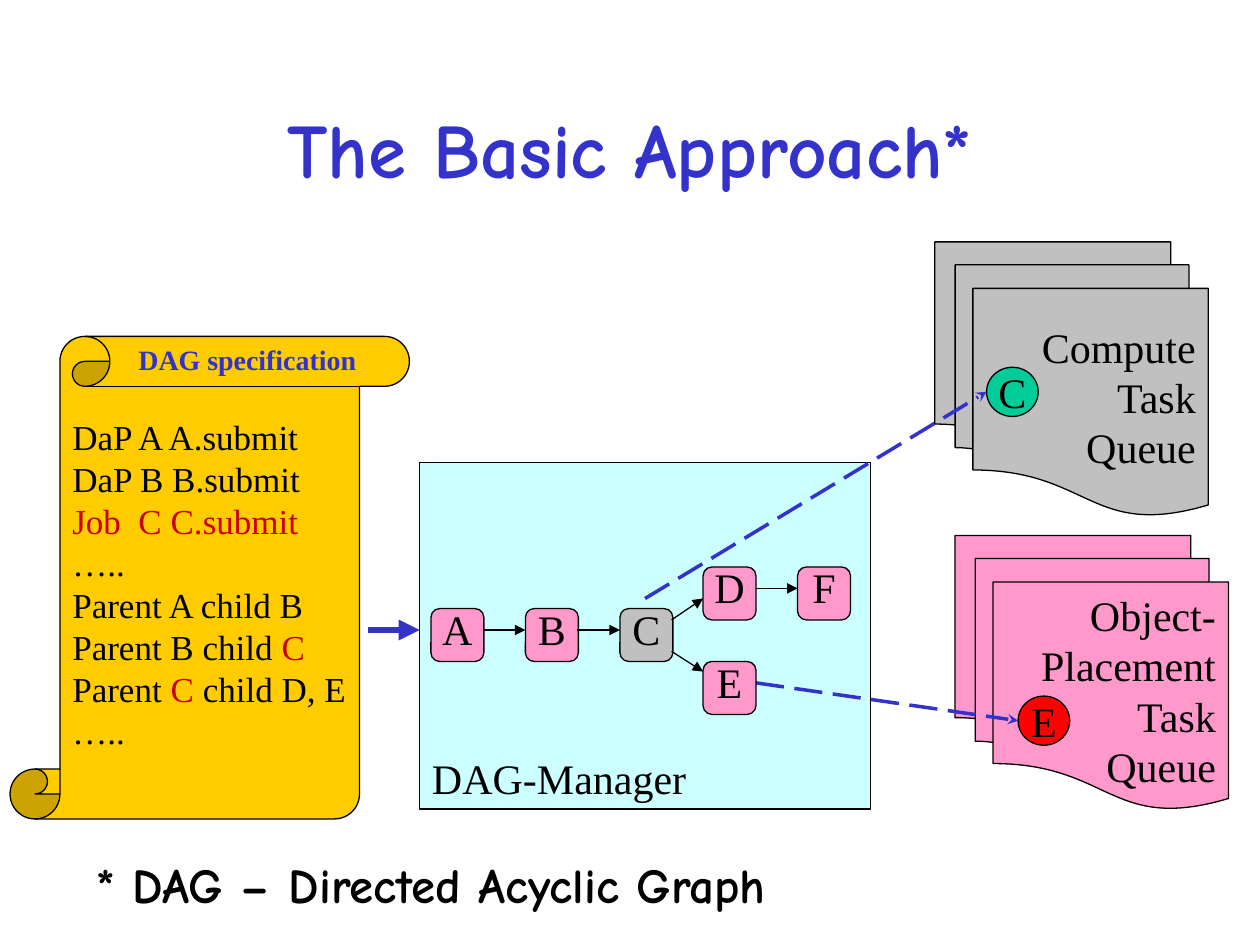
from dataclasses import dataclass

from lxml import etree
from pptx import Presentation
from pptx.dml.color import RGBColor
from pptx.enum.dml import MSO_LINE
from pptx.enum.shapes import MSO_CONNECTOR, MSO_SHAPE
from pptx.enum.text import MSO_ANCHOR, PP_ALIGN
from pptx.oxml.ns import qn
from pptx.slide import Slide
from pptx.util import Inches, Pt

LEFT, CENTER, RIGHT = PP_ALIGN.LEFT, PP_ALIGN.CENTER, PP_ALIGN.RIGHT
TOP, MIDDLE, BOTTOM = MSO_ANCHOR.TOP, MSO_ANCHOR.MIDDLE, MSO_ANCHOR.BOTTOM
RECTANGLE, ROUNDED, OVAL = MSO_SHAPE.RECTANGLE, MSO_SHAPE.ROUNDED_RECTANGLE, MSO_SHAPE.OVAL
SCROLL, DOCUMENTS = MSO_SHAPE.VERTICAL_SCROLL, MSO_SHAPE.FLOWCHART_MULTIDOCUMENT
STRAIGHT, LONG_DASH = MSO_CONNECTOR.STRAIGHT, MSO_LINE.LONG_DASH

SERIF, COMIC = "Times New Roman", "Comic Neue"
BLACK, BLUE, RED = "000000", "3333CC", "CC0000"
PINK, GRAY = "FF99CC", "C0C0C0"
INSETS = (0.1, 0.05, 0.1, 0.05)
NODE_SIZE = 0.42

SPECIFICATION = [
    "DaP A A.submit",
    "DaP B B.submit",
    [("Job  C C.submit", RED)],
    "…..",
    "Parent A child B",
    [("Parent B child ", BLACK), ("C", RED)],
    [("Parent ", BLACK), ("C", RED), (" child D, E", BLACK)],
    "…..",
]
NODES = [
    ("A", 3.42, 4.83, PINK),
    ("B", 4.17, 4.83, PINK),
    ("C", 4.92, 4.83, GRAY),
    ("D", 5.58, 4.5, PINK),
    ("E", 5.58, 5.25, PINK),
    ("F", 6.33, 4.5, PINK),
]
EDGES = [
    ((3.83, 5), (4.17, 5)),
    ((4.58, 5), (4.92, 5)),
    ((5.33, 4.92), (5.58, 4.75)),
    ((5.33, 5.17), (5.58, 5.33)),
    ((6, 4.67), (6.33, 4.67)),
]
QUEUES = [
    (7.42, 1.92, GRAY, ["Compute", "Task", "Queue"]),
    (7.58, 4.25, PINK, ["Object-", "Placement", "Task", "Queue"]),
]
DISPATCHES = [
    ("C", (5.12, 4.75), (7.83, 3.11), "00CC99"),
    ("E", (6, 5.42), (8.08, 5.72), "FF0000"),
]


def rgb(value):
    """Turn a hex string into a colour."""
    return RGBColor.from_string(value)


def write_text(shape, lines, *, size=24, font=SERIF, color=BLACK, bold=False,
               align=LEFT, anchor=MIDDLE, wrap=False, insets=INSETS):
    """Fill a shape with lines, each a string or a list of (text, colour) runs."""
    frame = shape.text_frame
    frame.word_wrap = wrap
    frame.vertical_anchor = anchor
    frame.margin_left, frame.margin_top, frame.margin_right, frame.margin_bottom = map(Inches, insets)
    for index, line in enumerate(lines):
        paragraph = frame.add_paragraph() if index else frame.paragraphs[0]
        paragraph.alignment = align
        for text, run_color in [(line, color)] if isinstance(line, str) else line:
            run = paragraph.add_run()
            run.text = text
            run.font.name = font
            run.font.size = Pt(size)
            run.font.bold = bold
            run.font.color.rgb = rgb(run_color)


@dataclass
class Diagram:
    """Holds the slide and the shared outline style."""

    slide: Slide
    outline: str = BLACK
    outline_width: float = 0.75

    def box(self, kind, left, top, width, height, fill, lines=(), flip=False, **text_format):
        """Add an outlined preset shape with text."""
        shape = self.slide.shapes.add_shape(kind, *map(Inches, (left, top, width, height)))
        shape.shadow.inherit = False
        shape.fill.solid()
        shape.fill.fore_color.rgb = rgb(fill)
        shape.line.color.rgb = rgb(self.outline)
        shape.line.width = Pt(self.outline_width)
        if flip:
            shape.element.spPr.find(qn("a:xfrm")).set("flipH", "1")
        write_text(shape, lines, **text_format)
        return shape

    def label(self, left, top, width, height, text, **text_format):
        """Add a text box holding one line."""
        shape = self.slide.shapes.add_textbox(*map(Inches, (left, top, width, height)))
        write_text(shape, [text], **text_format)

    def arrow(self, start, end, color=BLACK, width=0.75, head="triangle", dash=None):
        """Add a straight arrow from start to end."""
        connector = self.slide.shapes.add_connector(STRAIGHT, *map(Inches, start + end))
        connector.line.color.rgb = rgb(color)
        connector.line.width = Pt(width)
        if dash is not None:
            connector.line.dash_style = dash
        properties = connector.element.spPr
        etree.SubElement(properties.find(qn("a:ln")), qn("a:tailEnd"), type=head)
        etree.SubElement(properties, qn("a:effectLst"))

    def node(self, name, left, top, fill):
        """Add one task of the graph."""
        self.box(ROUNDED, left, top, NODE_SIZE, NODE_SIZE, fill, [name],
                 align=CENTER, insets=(0, 0, 0, 0.1))

    def dispatch(self, name, start, end, fill):
        """Add a dashed arrow that ends at a queued task."""
        width, height = 0.41, 0.39
        self.box(OVAL, end[0], end[1] - height / 2, width, height, fill, [name],
                 align=CENTER, insets=(0, 0, 0, 0))
        self.arrow(start, end, BLUE, 2, "stealth", LONG_DASH)


def main():
    """Build and save the slide."""
    presentation = Presentation()
    presentation.slide_width, presentation.slide_height = Inches(10), Inches(7.5)
    diagram = Diagram(presentation.slides.add_slide(presentation.slide_layouts[6]))

    diagram.label(0.75, 0.67, 8.5, 1, "The Basic Approach*", size=44, font=COMIC,
                  color=BLUE, bold=True, align=CENTER, wrap=True)
    diagram.box(RECTANGLE, 3.33, 3.67, 3.58, 2.75, "CCFFFF", ["DAG-Manager"], anchor=BOTTOM)
    diagram.box(SCROLL, 0.08, 2.67, 3.17, 3.83, "FFCC00", SPECIFICATION, size=20,
                insets=(0.1, 0.05, 0.1, 0.16))
    diagram.label(1, 2.67, 2.08, 0.37, "DAG specification", size=16, color=BLUE,
                  bold=True, anchor=TOP, wrap=True)
    diagram.arrow((2.92, 5), (3.33, 5), BLUE, 4)

    for left, top, fill, lines in QUEUES:
        diagram.box(DOCUMENTS, left, top, 2.17, 2.17, fill, lines, flip=True, align=RIGHT)
    for dispatch in DISPATCHES:
        diagram.dispatch(*dispatch)
    for node in NODES:
        diagram.node(*node)
    for start, end in EDGES:
        diagram.arrow(start, end)

    diagram.label(0.67, 6.73, 5.56, 0.57, "* DAG – Directed Acyclic Graph", size=28,
                  font=COMIC, bold=True, anchor=TOP)
    presentation.save("out.pptx")


if __name__ == "__main__":
    main()
